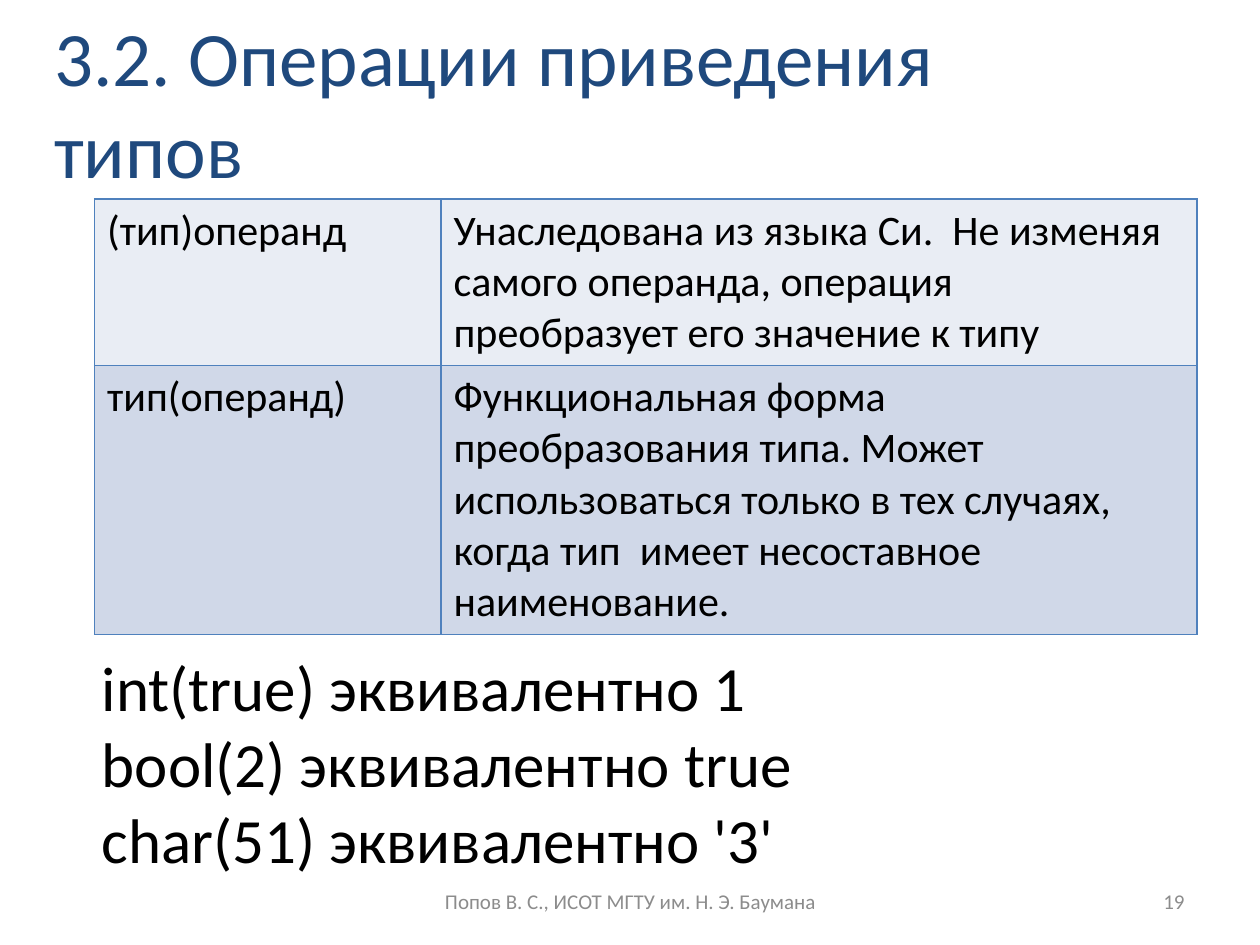
from dataclasses import dataclass

from lxml import etree
from pptx import Presentation
from pptx.dml.color import RGBColor
from pptx.enum.text import MSO_ANCHOR, MSO_AUTO_SIZE, PP_ALIGN
from pptx.oxml.ns import qn
from pptx.util import Inches, Pt


@dataclass(frozen=True)
class Theme:
    font: str = "Calibri"
    title: str = "1F497D"
    body: str = "000000"
    muted: str = "8C8C8C"
    border: str = "4F81BD"
    row_fills: tuple = ("E9EDF4", "D0D8E8")
    title_size: int = 44
    example_size: int = 36
    table_size: int = 24
    footer_size: int = 12


THEME = Theme()


def style_text(frame, size, color, align=PP_ALIGN.LEFT):
    frame.word_wrap = True
    for paragraph in frame.paragraphs:
        paragraph.alignment = align
        for run in paragraph.runs:
            run.font.name = THEME.font
            run.font.size = Pt(size)
            run.font.color.rgb = RGBColor.from_string(color)


def add_borders(cell):
    properties = cell._tc.get_or_add_tcPr()
    for position, side in enumerate(("lnL", "lnR", "lnT", "lnB")):
        line = etree.Element(qn(f"a:{side}"), w=str(Pt(1)))
        fill = etree.SubElement(line, qn("a:solidFill"))
        etree.SubElement(fill, qn("a:srgbClr"), val=THEME.border)
        properties.insert(position, line)


prs = Presentation()
prs.slide_width, prs.slide_height = Inches(10), Inches(7.5)
slide = prs.slides.add_slide(prs.slide_layouts[5])

# Title
title = slide.shapes.title
title.left, title.top = Inches(0.33), Inches(0)
title.width, title.height = Inches(8.17), Inches(1.61)
title.text_frame.text = "3.2. Операции приведения типов"
title.text_frame.auto_size = MSO_AUTO_SIZE.NONE
title.text_frame.vertical_anchor = MSO_ANCHOR.MIDDLE
style_text(title.text_frame, THEME.title_size, THEME.title)

# Cast operations
operations = [
    ("(тип)операнд",
     "Унаследована из языка Си.  Не изменяя самого операнда, операция "
     "преобразует его значение к типу"),
    ("тип(операнд)",
     "Функциональная форма преобразования типа. Может использоваться только "
     "в тех случаях, когда тип  имеет несоставное наименование."),
]
table = slide.shapes.add_table(2, 2, Inches(0.75), Inches(1.58),
                               Inches(8.75), Inches(3.45)).table
table.first_row = table.horz_banding = False
for column, width in zip(table.columns, (2.75, 6)):
    column.width = Inches(width)
for row, height, texts, fill in zip(table.rows, (1.32, 2.13), operations, THEME.row_fills):
    row.height = Inches(height)
    for cell, text in zip(row.cells, texts):
        cell.text_frame.text = text
        style_text(cell.text_frame, THEME.table_size, THEME.body)
        cell.fill.solid()
        cell.fill.fore_color.rgb = RGBColor.from_string(fill)
        add_borders(cell)

# Examples
examples = slide.shapes.add_textbox(Inches(0.33), Inches(5.1),
                                    Inches(9.33), Inches(1.92)).text_frame
examples.text = "\n".join((
    "int(true) эквивалентно 1",
    "bool(2) эквивалентно true",
    "char(51) эквивалентно '3'",
))
for paragraph in examples.paragraphs:
    paragraph._p.get_or_add_pPr().set("marL", str(Inches(0.38)))
style_text(examples, THEME.example_size, THEME.body)

# Footer
for text, left, width, align in (
    ("Попов В. С., ИСОТ МГТУ им. Н. Э. Баумана", 3.42, 3.17, PP_ALIGN.CENTER),
    ("19", 7.17, 2.33, PP_ALIGN.RIGHT),
):
    footer = slide.shapes.add_textbox(Inches(left), Inches(6.95),
                                      Inches(width), Inches(0.4)).text_frame
    footer.text = text
    footer.vertical_anchor = MSO_ANCHOR.MIDDLE
    style_text(footer, THEME.footer_size, THEME.muted, align)

prs.save("out.pptx")
